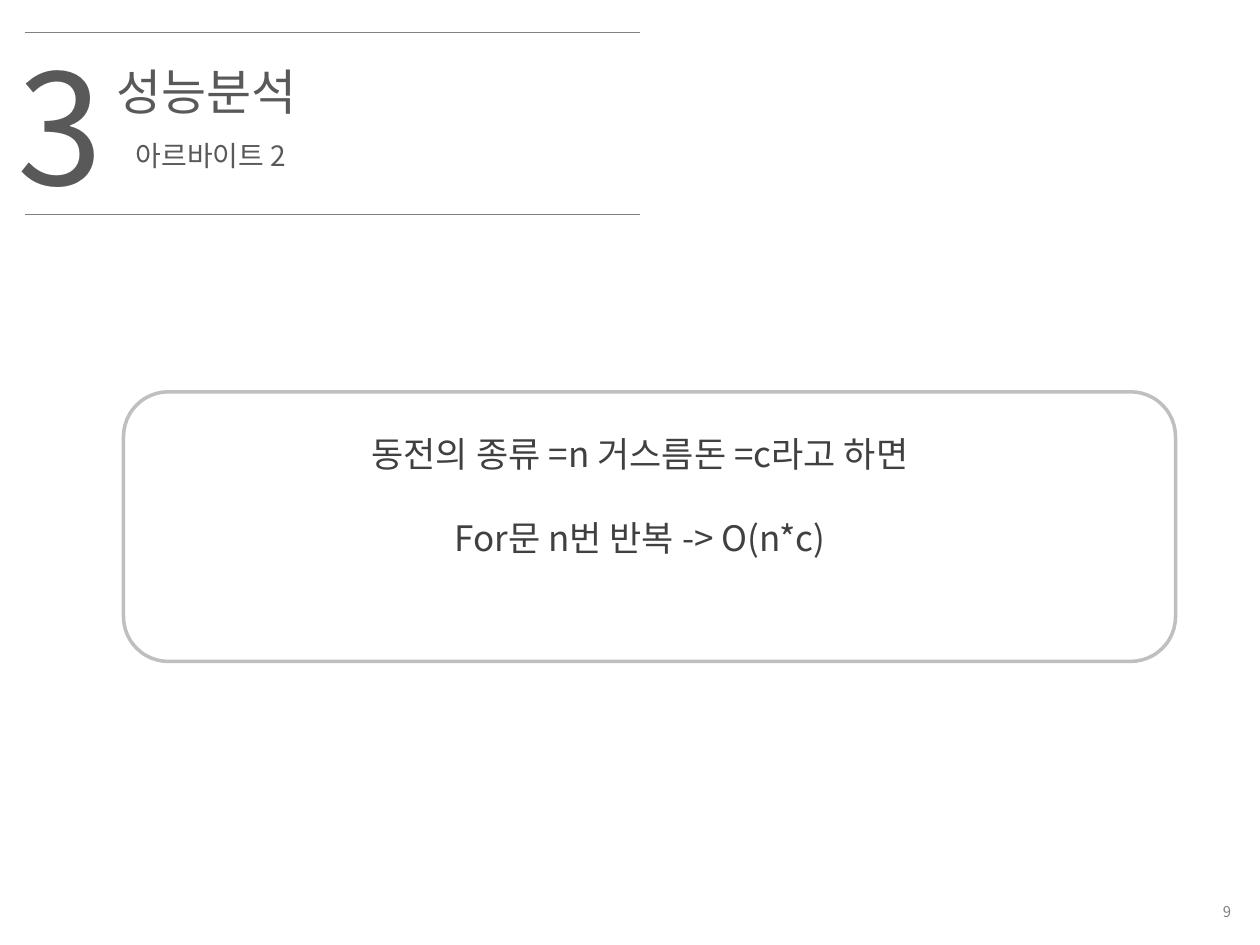
from pptx import Presentation
from pptx.dml.color import RGBColor as RGB
from pptx.enum.shapes import MSO_CONNECTOR as CONN, MSO_SHAPE as SHAPE
from pptx.enum.text import MSO_ANCHOR as ANCHOR, PP_ALIGN as ALIGN
from pptx.oxml.ns import qn
from pptx.util import Inches, Pt
from lxml.etree import SubElement as Sub

COLORS = {"title": "595959", "body": "404040", "rule": "808080", "frame": "BFBFBF"}


def write(frame, text, font, size, color, align=ALIGN.LEFT, gap=0, lead=None):
    for i, line in enumerate(text.split("\n")):
        para = frame.add_paragraph() if i else frame.paragraphs[0]
        para.alignment = align
        if i:
            para.space_before = Pt(gap)
        if lead:
            para.line_spacing = Pt(lead)
        run = para.add_run()
        run.text = line
        run.font.name = font
        run.font.size = Pt(size)
        run.font.color.rgb = RGB.from_string(COLORS[color])
        Sub(run.font._element, qn("a:ea"), typeface=font)


class Deck:
    font = "Noto Sans CJK KR"

    def __init__(self):
        self.prs = Presentation()
        self.prs.slide_width = Inches(10)
        self.prs.slide_height = Inches(7.5)
        self.slide = self.prs.slides.add_slide(self.prs.slide_layouts[6])

    def text(self, text, x, y, w, h, anchor=ANCHOR.TOP, **style):
        box = self.slide.shapes.add_textbox(Inches(x), Inches(y), Inches(w), Inches(h))
        frame = box.text_frame
        frame.word_wrap = True
        frame.vertical_anchor = anchor
        write(frame, text, self.font, **style)

    def rule(self, x, y, w):
        line = self.slide.shapes.add_connector(
            CONN.STRAIGHT, Inches(x), Inches(y), Inches(x + w), Inches(y))
        line.line.color.rgb = RGB.from_string(COLORS["rule"])
        line.line.width = Pt(0.75)
        Sub(line._element.spPr, qn("a:effectLst"))

    def frame(self, x, y, w, h):
        box = self.slide.shapes.add_shape(
            SHAPE.ROUNDED_RECTANGLE, Inches(x), Inches(y), Inches(w), Inches(h))
        box.shadow.inherit = False
        box.fill.background()
        box.line.color.rgb = RGB.from_string(COLORS["frame"])
        box.line.width = Pt(2)

    def save(self):
        self.prs.save("out.pptx")


def main():
    deck = Deck()
    for y in (0.26, 1.7):
        deck.rule(0.2, y, 4.88)
    deck.text("3", 0.04, 0.2, 1.18, 1.58, size=88, color="title")
    deck.text("성능분석", 0.83, 0.44, 4.49, 0.57, size=28, color="title")
    deck.text("아르바이트 2", 0.98, 1.08, 4.57, 0.35, size=16, color="title", lead=17)
    deck.frame(0.98, 3.11, 8.35, 2.14)
    deck.text("동전의 종류 =n 거스름돈 =c라고 하면\nFor문 n번 반복 -> O(n*c)",
              0.53, 3.38, 9.1, 1.78, size=20, color="body", align=ALIGN.CENTER, gap=24)
    deck.text("9", 7.76, 7.1, 2.11, 0.27, anchor=ANCHOR.MIDDLE,
              size=8.5, color="rule", align=ALIGN.RIGHT)
    deck.save()


if __name__ == "__main__":
    main()
